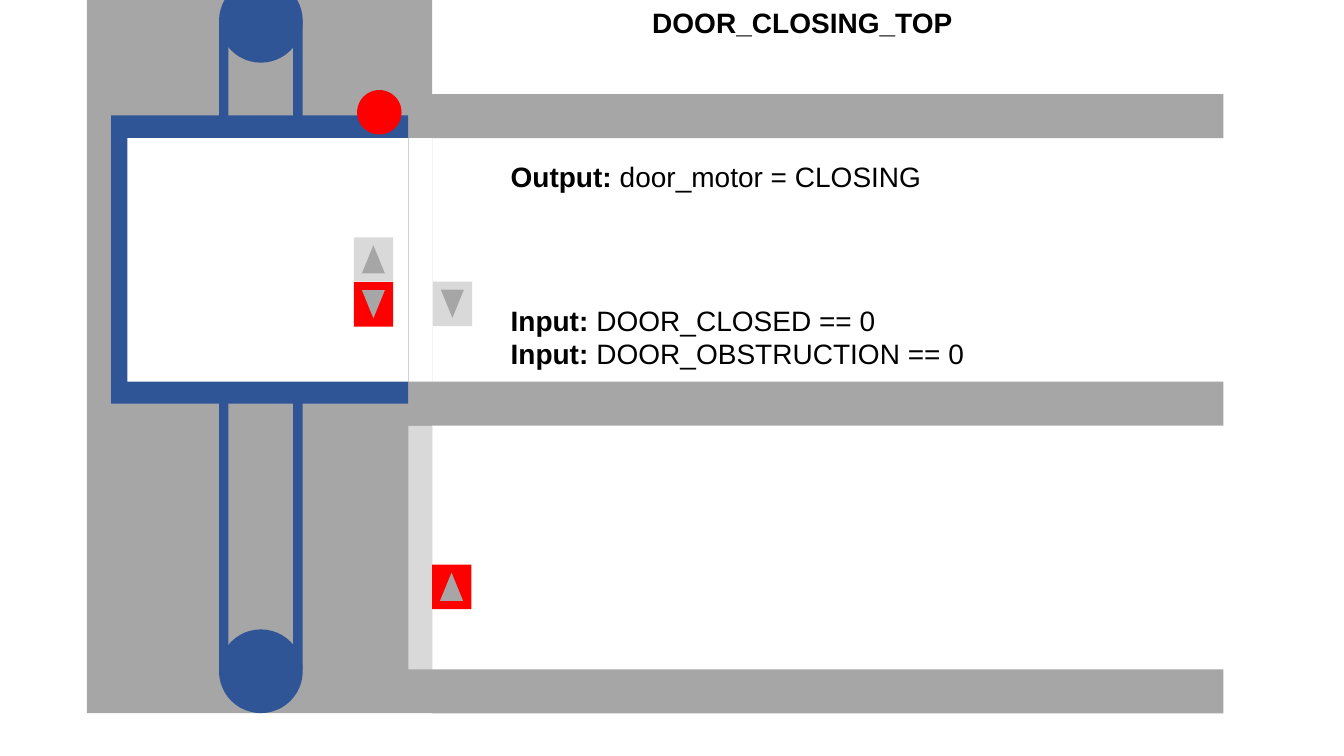
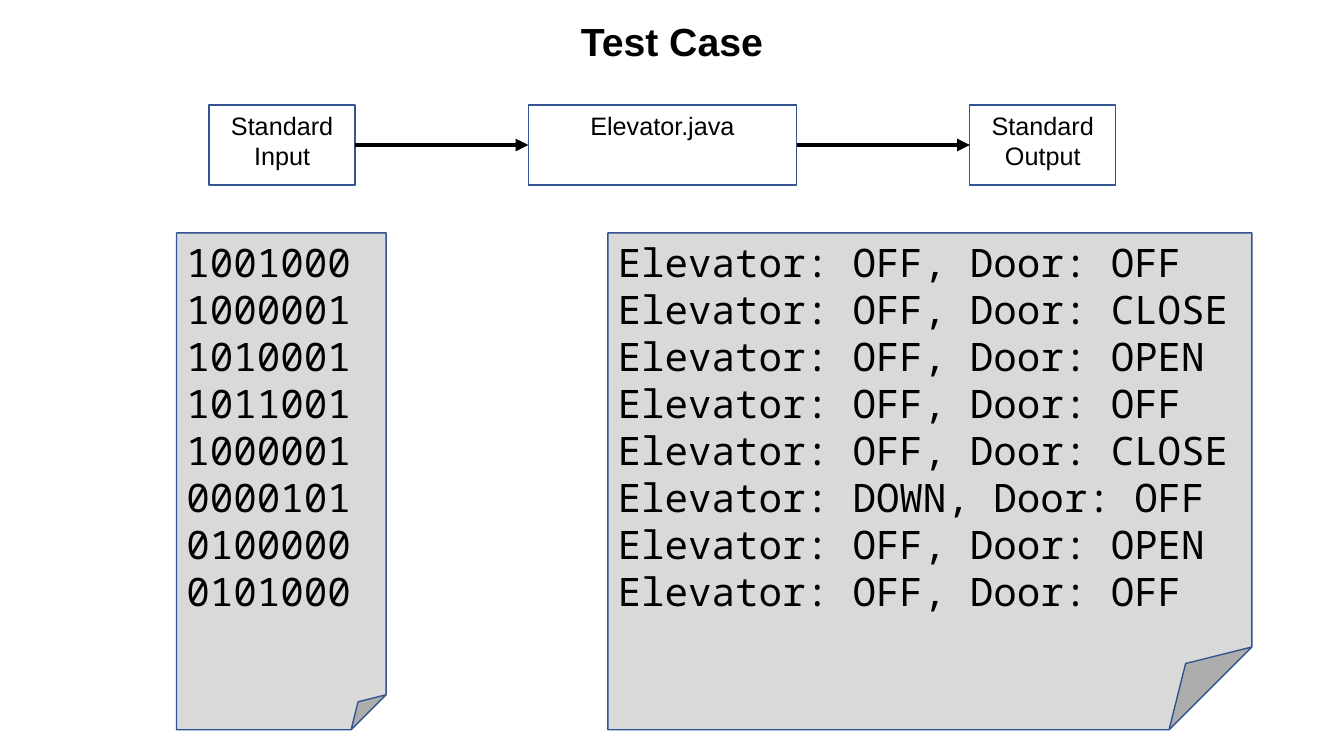
from dataclasses import dataclass
from typing import NamedTuple

from lxml import etree
from pptx import Presentation
from pptx import util as u
from pptx.dml import color as c
from pptx.enum import shapes, text
from pptx.oxml import ns

GEO = shapes.MSO_SHAPE
LEFT, CENTER = text.PP_ALIGN.LEFT, text.PP_ALIGN.CENTER


@dataclass(frozen=True)
class Theme:
    """Colours, fonts and type sizes shared by the slides."""
    black: str = "000000"
    white: str = "FFFFFF"
    wall: str = "A6A6A6"
    panel: str = "D9D9D9"
    steel: str = "2F5597"
    outline: str = "325491"
    lit: str = "FF0000"
    sans: str = "Arial"
    mono: str = "Noto Sans Mono"
    label: int = 18
    body: int = 20
    title: int = 28
    thin: int = 1
    thick: int = 3


T = Theme()
FRAME = {"word_wrap": True, "auto_size": text.MSO_AUTO_SIZE.NONE,
         "vertical_anchor": text.MSO_ANCHOR.TOP}


class Box(NamedTuple):
    """A rectangle in centimetres."""
    x: float
    y: float
    w: float
    h: float

    def sub(self, dx, dy, w, h):
        """Return a box placed relative to this one."""
        return Box(self.x + dx, self.y + dy, w, h)

    def emu(self):
        """Return the four lengths for python-pptx."""
        return [u.Cm(v) for v in self]


def apply(obj, formats):
    """Set each attribute named in a dict of formats."""
    for name, value in formats.items():
        setattr(obj, name, value)


def rgb(value):
    """Turn a hex string into a colour."""
    return c.RGBColor.from_string(value)


def write(tf, lines, size, font=T.sans, align=LEFT):
    """Fill a text frame with lines of (text, bold) runs."""
    apply(tf, FRAME)
    for i, line in enumerate(lines):
        p = tf.add_paragraph() if i else tf.paragraphs[0]
        p.alignment = align
        for words, bold in line:
            r = p.add_run()
            r.text = words
            apply(r.font, {"name": font, "size": u.Pt(size), "bold": bold})
            r.font.color.rgb = rgb(T.black)


def draw(parent, box, fill=None, geo=GEO.RECTANGLE, line=None, turn=0):
    """Add a flat preset shape to a slide or group."""
    sp = parent.shapes.add_shape(geo, *box.emu())
    apply(sp, {"rotation": turn})
    sp.shadow.inherit = False
    if fill:
        sp.fill.solid()
        sp.fill.fore_color.rgb = rgb(fill)
    else:
        sp.fill.background()
    if line:
        sp.line.color.rgb = rgb(line)
        sp.line.width = u.Pt(T.thin)
    else:
        sp.line.fill.background()
    return sp


def caption(s, box, lines):
    """Add a text box of body size."""
    sp = s.shapes.add_textbox(*box.emu())
    write(sp.text_frame, lines, T.body)


def titled_slide(prs, title, box, size):
    """Add a title-only slide with its title moved into a box."""
    s = prs.slides.add_slide(prs.slide_layouts[5])
    sp = s.shapes.title
    apply(sp, dict(zip(("left", "top", "width", "height"), box.emu())))
    write(sp.text_frame, [[(title, True)]], size, align=CENTER)
    return s


def button(s, x, y, down, fill):
    """Add a call button with an arrow pointing up or down."""
    box = Box(x, y, 0.99, 1.12)
    g = s.shapes.add_group_shape()
    draw(g, box, fill)
    draw(g, box.sub(0.2, 0.2, 0.58, 0.71), T.wall, GEO.ISOSCELES_TRIANGLE,
         turn=180 if down else 0)


def building(s, box):
    """Draw the shaft, floor slabs, doors and hoist."""
    slab, step, top, door = 1.11, 7.25, 2.37, 0.6
    draw(s, box.sub(0, 0, 8.7, box.h), T.wall)
    for i in range(3):
        draw(s, box.sub(8.7, top + i * step, box.w - 8.7, slab), T.wall)
    opening = box.sub(8.7 - door, top + slab, door, step - slab)
    draw(s, opening.sub(0, step, door, opening.h), T.panel)
    pulley, cable = 2.11, 0.24
    for y in (-0.53, box.h - pulley):
        draw(s, box.sub(3.33, y, pulley, pulley), T.steel, GEO.OVAL)
    for x in (0, pulley - cable):
        draw(s, box.sub(3.33 + x, 0.51, cable, 16.36), T.steel)
    draw(s, opening, T.white)


def cab(s, box):
    """Draw the elevator cab with its door and sensor."""
    g = s.shapes.add_group_shape()
    wall, rim, door, inside = 0.41, 0.57, 0.38, 6.14
    draw(g, box, T.steel)
    draw(g, box.sub(box.w - door, rim, door, inside), T.white)
    draw(g, box.sub(6.2, -0.64, 1.12, 1.12), T.lit, GEO.OVAL)
    draw(g, box.sub(wall, rim, box.w - wall - door, inside), T.white)


def door_slide(prs):
    """Build the slide showing the door closing at the top floor."""
    s = titled_slide(prs, "DOOR_CLOSING_TOP", Box(12.09, 0, 16.26, 1.12),
                     T.body)
    building(s, Box(2.19, 0, 28.64, 17.97))
    cab(s, Box(2.8, 2.91, 7.49, 7.26))
    notes = Box(12.62, 3.89, 12.93, 1.12)
    caption(s, notes,
            [[("Output: ", True), ("door_motor = CLOSING", False)]])
    caption(s, notes.sub(0, 3.63, notes.w, 1.96),
            [[("Input: ", True), (f"{name} == 0", False)]
             for name in ("DOOR_CLOSED", "DOOR_OBSTRUCTION")])
    for x, y, down, fill in ((8.92, 7.11, True, T.lit),
                             (8.92, 5.98, False, T.panel),
                             (10.91, 7.1, True, T.panel),
                             (10.89, 14.23, False, T.lit)):
        button(s, x, y, down, fill)


def arrow(s, start, end):
    """Join two boxes from right side to left side."""
    cx = s.shapes.add_connector(shapes.MSO_CONNECTOR.STRAIGHT, 0, 0, 0, 0)
    cx.begin_connect(start, 3)
    cx.end_connect(end, 1)
    cx.line.color.rgb = rgb(T.black)
    cx.line.width = u.Pt(T.thick)
    pr = cx.element.spPr
    etree.SubElement(pr.find(ns.qn("a:ln")), ns.qn("a:tailEnd"),
                     type="triangle")
    etree.SubElement(pr, ns.qn("a:effectLst"))


def pipeline(s, box):
    """Draw the program between its input and output."""
    side, middle = 3.68, 6.76
    gap = (box.w - 2 * side - middle) / 2
    steps, x = [], 0
    for label, w in (("Standard Input", side), ("Elevator.java", middle),
                     ("Standard Output", side)):
        sp = draw(s, box.sub(x, 0, w, box.h), line=T.outline)
        write(sp.text_frame, [[(label, False)]], T.label, align=CENTER)
        steps.append(sp)
        x += w + gap
    for start, end in zip(steps, steps[1:]):
        arrow(s, start, end)


def sheet(s, box, lines):
    """Draw a folded sheet of monospaced lines."""
    sp = draw(s, box, T.panel, GEO.FOLDED_CORNER, T.outline)
    write(sp.text_frame, [[(line, False)] for line in lines], T.title, T.mono)


def test_slide(prs):
    """Build the test case slide."""
    s = titled_slide(prs, "Test Case", Box(8, 0.3, 17.86, 1.45), T.title)
    pipeline(s, Box(5.27, 2.65, 22.85, 2.01))
    cases = (("1001000", "OFF", "OFF"), ("1000001", "OFF", "CLOSE"),
             ("1010001", "OFF", "OPEN"), ("1011001", "OFF", "OFF"),
             ("1000001", "OFF", "CLOSE"), ("0000101", "DOWN", "OFF"),
             ("0100000", "OFF", "OPEN"), ("0101000", "OFF", "OFF"))
    sheet(s, Box(4.45, 5.87, 5.28, 12.52), [bits for bits, _, _ in cases])
    sheet(s, Box(15.32, 5.87, 16.23, 12.52),
          [f"Elevator: {motor}, Door: {door}" for _, motor, door in cases])


def main():
    """Build and save the presentation."""
    prs = Presentation()
    apply(prs, {"slide_width": u.Cm(33.87), "slide_height": u.Cm(19.05)})
    door_slide(prs)
    test_slide(prs)
    prs.save("out.pptx")


if __name__ == "__main__":
    main()
